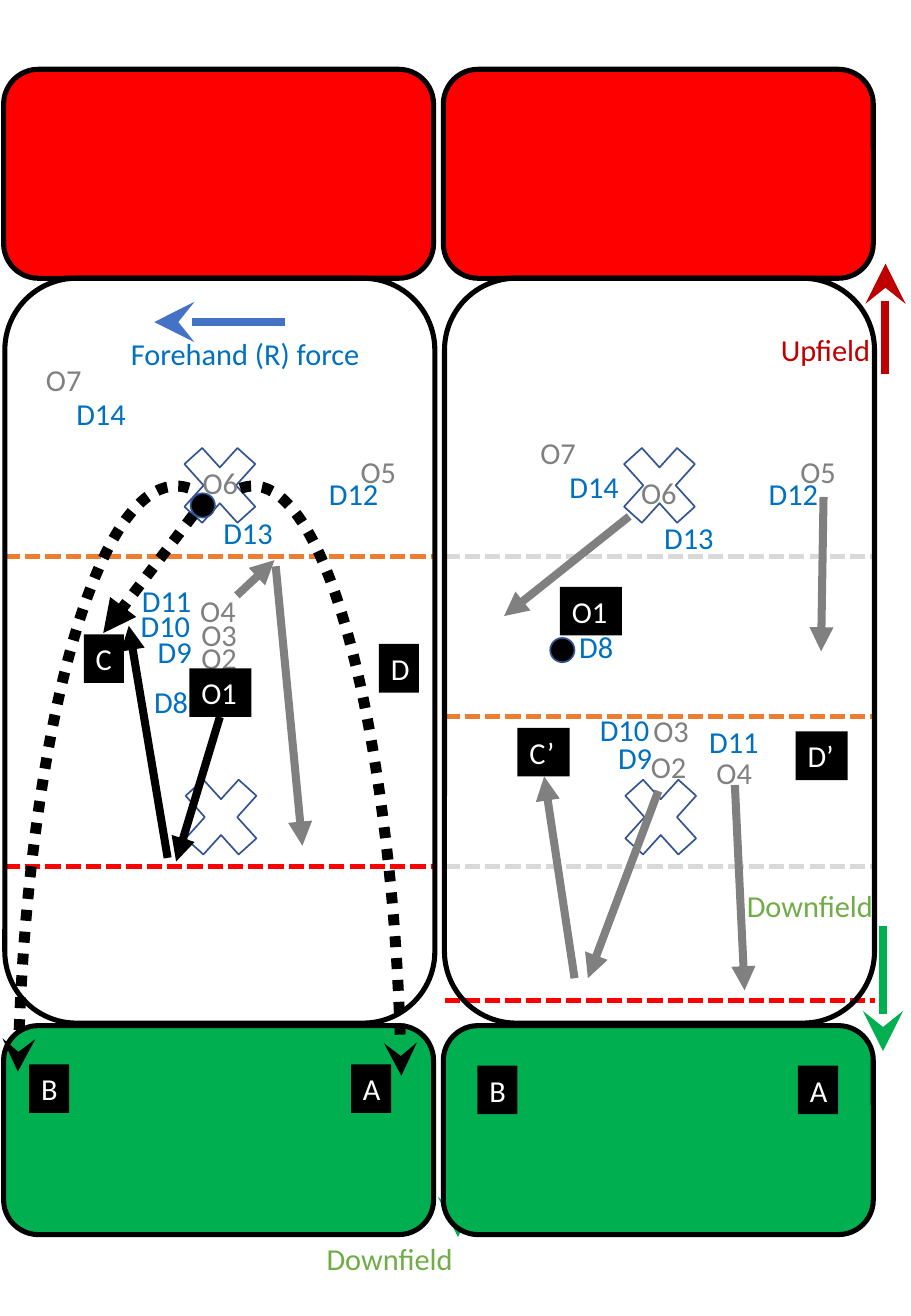
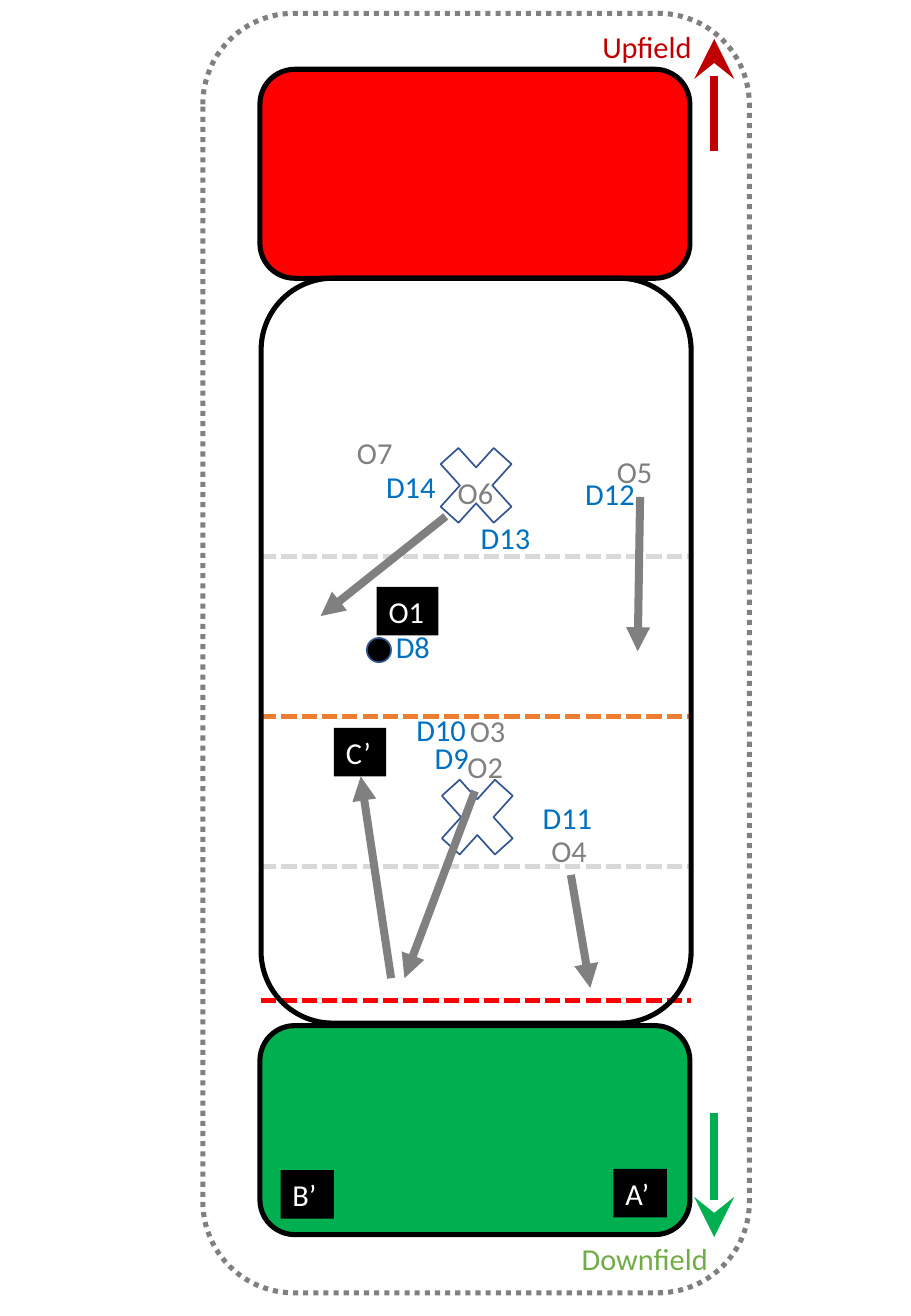
"""Builds two slides of field diagrams showing players, forces and cutting lanes."""
from lxml import etree
from pptx import Presentation
from pptx import util as u
from pptx.dml import color
from pptx.enum import dml, shapes, text
from pptx.oxml import ns

BLACK, WHITE, GREY, PALE = "000000", "FFFFFF", "808080", "D9D9D9"
RED, DARK_RED, ORANGE = "FF0000", "C00000", "ED7D31"
GREEN, LIME = "00B050", "70AD47"
BLUE, FORCE_BLUE, OUTLINE = "0070C0", "4472C4", "325491"
DASH, DOT = dml.MSO_LINE.SQUARE_DOT, dml.MSO_LINE.ROUND_DOT
KIND = shapes.MSO_SHAPE

FORMATION = {
    "O2": (1.61, 6.11), "O3": (1.63, 5.81), "O5": (2.84, 3.68),
    "O6": (1.53, 3.85), "O7": (0.7, 3.52), "D8": (1.02, 5.12),
    "D9": (1.34, 6.03), "D10": (1.19, 5.8), "D12": (2.58, 3.86),
    "D13": (1.72, 4.22), "D14": (0.94, 3.8),
}
CUTS = [
    (1.77, 6.51, 1.19, 8.05), (1.08, 8.05, 0.83, 6.39),
    (1.53, 4.25, 0.5, 5.07), (3.13, 4.09, 3.11, 5.36),
]
START = {
    "O2": (1.56, 5.21), "O3": (1.56, 5.02), "O4": (1.55, 4.82),
    "O5": (2.87, 3.68), "O6": (1.57, 3.77), "O7": (0.28, 2.92),
    "D8": (1.17, 5.57), "D9": (1.2, 5.16), "D10": (1.06, 4.95),
    "D11": (1.07, 4.74), "D12": (2.61, 3.86), "D13": (1.74, 4.18),
    "D14": (0.53, 3.2),
}
START_LINES = [(4.58, ORANGE), (7.13, RED)]
NEXT_LINES = [(5.9, ORANGE), (4.58, PALE), (7.13, PALE), (8.23, RED)]


def rgb(value):
    return color.RGBColor.from_string(value)


class Playbook:
    def __init__(self, width, height):
        self.deck = Presentation()
        self.deck.slide_width = u.Inches(width)
        self.deck.slide_height = u.Inches(height)
        self.page = None

    def new_page(self):
        self.page = self.deck.slides.add_slide(self.deck.slide_layouts[6])

    def stroke(self, item, ink, weight, dash=None, head=None, size="med"):
        item.line.color.rgb = rgb(ink)
        item.line.width = u.Pt(weight)
        if dash is not None:
            item.line.dash_style = dash
        if head:
            outline = item._element.spPr.find(ns.qn("a:ln"))
            etree.SubElement(outline, ns.qn("a:tailEnd"), type=head, w=size, len=size)

    def shape(self, kind, left, top, width, height, fill=None,
              ink=BLACK, weight=3, dash=None, head=None):
        item = self.page.shapes.add_shape(kind, *map(u.Inches, (left, top, width, height)))
        item.shadow.inherit = False
        if fill:
            item.fill.solid()
            item.fill.fore_color.rgb = rgb(fill)
        else:
            item.fill.background()
        self.stroke(item, ink, weight, dash, head)
        return item

    def line(self, ends, ink, weight=4.75, dash=None, head=None, size="med"):
        item = self.page.shapes.add_connector(
            shapes.MSO_CONNECTOR.STRAIGHT, *map(u.Inches, ends))
        self.stroke(item, ink, weight, dash, head, size)
        etree.SubElement(item._element.spPr, ns.qn("a:effectLst"))

    def cut(self, ends, ink=GREY):
        self.line(ends, ink, head="triangle")

    def direction(self, ends, ink):
        self.line(ends, ink, head="stealth", size="lg")

    def label(self, words, left, top, width, ink, fill=None):
        box = self.page.shapes.add_textbox(*map(u.Inches, (left, top, width, 0.4)))
        if fill:
            box.fill.solid()
            box.fill.fore_color.rgb = rgb(fill)
        frame = box.text_frame
        frame.word_wrap = width > 0.45
        frame.auto_size = text.MSO_AUTO_SIZE.SHAPE_TO_FIT_TEXT
        span = frame.paragraphs[0].add_run()
        span.text = words
        span.font.name = "Calibri"
        span.font.size = u.Pt(18)
        span.font.color.rgb = rgb(ink)

    def tag(self, words, left, top, width=0.33):
        self.label(words, left, top, width, WHITE, BLACK)

    def players(self, places, origin=0):
        for name, (left, top) in places.items():
            width = 0.51 if len(name) == 2 else 0.67
            self.label(name, origin + left, top, width, GREY if name[0] == "O" else BLUE)

    def ball(self, left, top):
        self.shape(KIND.OVAL, left, top, 0.2, 0.2, BLACK, OUTLINE, 1)

    def field(self, origin, lines):
        for top, ink in lines:
            self.line((origin + 0.01, top, origin + 3.55, top), ink, 3, DASH)
        for top, fill in ((8.44, GREEN), (0.57, RED)):
            self.shape(KIND.ROUNDED_RECTANGLE, origin, top, 3.54, 1.72, fill)
        self.shape(KIND.ROUNDED_RECTANGLE, origin + 0.01, 2.29, 3.54, 6.13)
        for left, top in ((1.37, 6.26), (1.36, 3.53)):
            self.shape(KIND.MATH_MULTIPLY, origin + left, top, 0.84, 0.93,
                       ink=OUTLINE, weight=1)

    def throw_arc(self, left, width, mirrored=False):
        arc = self.shape(KIND.ARC, left, 4, width, 10.71,
                         weight=6.5, dash=DOT, head="stealth")
        arc.adjustments[0] = 161.319
        arc.adjustments[1] = 202.581
        if mirrored:
            arc._element.spPr.find(ns.qn("a:xfrm")).set("flipH", "1")

    def next_phase(self, origin):
        self.field(origin, NEXT_LINES)
        self.players(FORMATION, origin)
        self.tag("O1", origin + 0.96, 4.83, 0.51)
        self.ball(origin + 0.88, 5.25)
        for x1, y1, x2, y2 in CUTS:
            self.cut((origin + x1, y1, origin + x2, y2))
        self.tag("C’", origin + 0.61, 5.99, 0.43)

    def start_phase(self):
        self.field(0.03, START_LINES)
        self.players(START)
        self.tag("O1", 1.56, 5.5, 0.51)
        self.ball(1.57, 4.06)
        self.direction((2.35, 2.65, 1.27, 2.65), FORCE_BLUE)
        self.label("Forehand (R) force", 0.98, 2.71, 2.5, BLUE)
        self.throw_arc(0.86, 2.45)
        self.throw_arc(0.14, 2.62, mirrored=True)
        self.line((1.59, 4.24, 0.85, 5.21), BLACK, 6.5, DOT, "triangle")
        self.cut((1.81, 5.9, 1.45, 7.09), BLACK)
        self.cut((1.38, 7.06, 1.06, 5.15), BLACK)
        self.cut((1.95, 4.9, 2.26, 4.61))
        self.cut((2.27, 4.66, 2.49, 6.96))
        for name, left, top in (("A", 2.89, 8.76), ("B", 0.24, 8.76),
                                ("C", 0.69, 5.22), ("D", 3.12, 5.3)):
            self.tag(name, left, top)

    def upfield(self, left, top, arrow):
        self.direction(arrow, DARK_RED)
        self.label("Upfield", left, top, 1.05, DARK_RED)

    def downfield(self, left, top, arrow):
        self.direction(arrow, GREEN)
        self.label("Downfield", left, top, 1.32, LIME)


book = Playbook(7.5, 10.83)

book.new_page()
book.start_phase()
book.downfield(2.59, 10.16, (3.77, 9.16, 3.77, 10.18))
book.next_phase(3.65)
book.players({"O4": (5.8, 6.16), "D11": (5.74, 5.9)})
book.cut((6.05, 6.46, 6.13, 8.15))
book.upfield(6.33, 2.68, (7.29, 3.08, 7.29, 2.17))
book.downfield(6.05, 7.25, (7.27, 7.62, 7.27, 8.65))
book.tag("A", 6.57, 8.77)
book.tag("B", 3.93, 8.77)
book.tag("D’", 6.55, 6.02, 0.43)

book.new_page()
book.shape(KIND.ROUNDED_RECTANGLE, 1.67, 0.11, 4.5, 10.53, ink=GREY, dash=DOT)
book.next_phase(2.14)
book.players({"O4": (4.44, 6.8), "D11": (4.37, 6.53)})
book.cut((4.7, 7.2, 4.86, 8.13))
book.upfield(4.86, 0.18, (5.88, 1.24, 5.88, 0.32))
book.downfield(4.69, 10.16, (5.88, 9.16, 5.88, 10.18))
book.tag("A’", 5.05, 9.62, 0.44)
book.tag("B’", 2.31, 9.63, 0.44)

book.deck.save("out.pptx")
